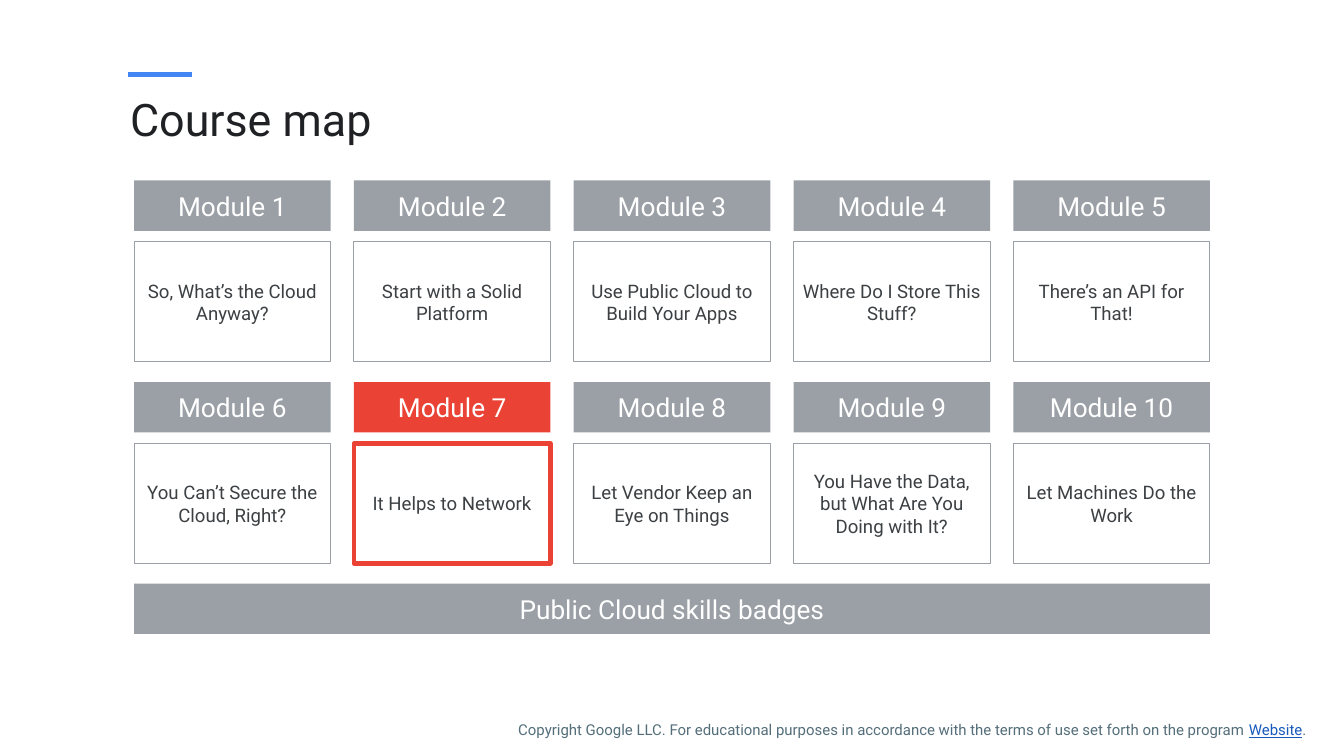
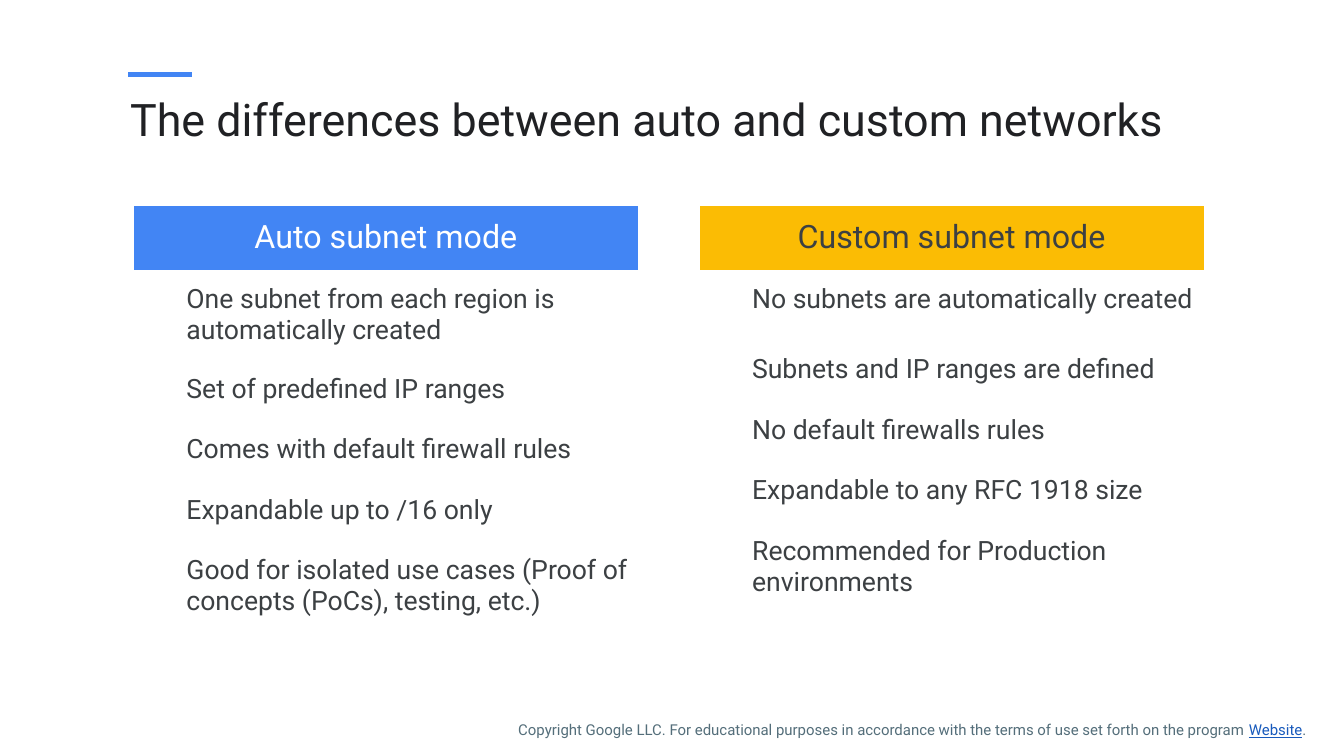
from lxml import etree
from pptx import Presentation
from pptx.dml.color import RGBColor
from pptx.enum.shapes import MSO_CONNECTOR, MSO_SHAPE
from pptx.enum.text import MSO_ANCHOR, MSO_AUTO_SIZE, PP_ALIGN
from pptx.oxml.ns import qn
from pptx.util import Inches, Pt

STRAIGHT = MSO_CONNECTOR.STRAIGHT
RECT = MSO_SHAPE.RECTANGLE
TOP, MIDDLE = MSO_ANCHOR.TOP, MSO_ANCHOR.MIDDLE
NO_AUTOFIT = MSO_AUTO_SIZE.NONE
LEFT, CENTER = PP_ALIGN.LEFT, PP_ALIGN.CENTER

WHITE = RGBColor(0xFF, 0xFF, 0xFF)
INK = RGBColor(0x20, 0x21, 0x24)
TEXT = RGBColor(0x3C, 0x40, 0x43)
GREY = RGBColor(0x9A, 0xA0, 0xA6)
SLATE = RGBColor(0x54, 0x6E, 0x7A)
BLUE = RGBColor(0x42, 0x85, 0xF4)
RED = RGBColor(0xEA, 0x43, 0x35)
YELLOW = RGBColor(0xFB, 0xBC, 0x04)
LINK = RGBColor(0x18, 0x5A, 0xBC)
FONT = "Roboto"
NO_STYLE_NO_GRID = "{2D5ABB26-0587-4C30-8999-92F81FD0307C}"


def write(tf, text, size, color, align, margins):
    tf.word_wrap = True
    tf.margin_left = tf.margin_right = Inches(margins)
    tf.margin_top = tf.margin_bottom = Inches(margins)
    p = tf.paragraphs[0]
    p.text = text
    p.alignment = align
    p.font.name = FONT
    p.font.size = Pt(size)
    p.font.color.rgb = color
    return p


def add_box(s, x, y, w, h, text, size, color, fill=None, line=None, weight=0.75):
    sp = s.shapes.add_shape(RECT, Inches(x), Inches(y), Inches(w), Inches(h))
    sp.shadow.inherit = False
    if fill is None:
        sp.fill.background()
    else:
        sp.fill.solid()
        sp.fill.fore_color.rgb = fill
    if line is None:
        sp.line.fill.background()
    else:
        sp.line.color.rgb = line
        sp.line.width = Pt(weight)
    sp.text_frame.vertical_anchor = MIDDLE
    write(sp.text_frame, text, size, color, CENTER, 0.07)


prs = Presentation()
prs.slide_width, prs.slide_height = Inches(13.33), Inches(7.5)

slides = []
for title in ["Course map", "The differences between auto and custom networks"]:
    s = prs.slides.add_slide(prs.slide_layouts[5])
    slides.append(s)

    accent = s.shapes.add_connector(STRAIGHT, Inches(1.27), Inches(0.74), Inches(1.9), Inches(0.74))
    accent.line.color.rgb = BLUE
    accent.line.width = Pt(3)
    etree.SubElement(accent._element.spPr, qn("a:effectLst"))

    sp = s.shapes.title
    sp.left, sp.top, sp.width, sp.height = Inches(1.22), Inches(0.84), Inches(10.77), Inches(0.83)
    tf = sp.text_frame
    tf.auto_size = NO_AUTOFIT
    tf.vertical_anchor = TOP
    write(tf, title, 32, INK, LEFT, 0.07)

    sp = s.shapes.add_textbox(Inches(5.01), Inches(7.02), Inches(8.25), Inches(0.38))
    p = write(
        sp.text_frame,
        "Copyright Google LLC. For educational purposes in accordance with "
        "the terms of use set forth on the program ",
        10.7, SLATE, LEFT, 0.13)
    p.line_spacing = 1.15
    r = p.add_run()
    r.text = "Website"
    r.font.color.rgb = LINK
    r.font.underline = True
    p.add_run().text = "."

course_map, comparison = slides

modules = [
    "So, What’s the Cloud Anyway?",
    "Start with a Solid Platform",
    "Use Public Cloud to Build Your Apps",
    "Where Do I Store This Stuff?",
    "There’s an API for That!",
    "You Can’t Secure the Cloud, Right?",
    "It Helps to Network",
    "Let Vendor Keep an Eye on Things",
    "You Have the Data, but What Are You Doing with It?",
    "Let Machines Do the Work",
]
current = 7
columns = 5
grid_left, grid_top, grid_width = 1.33, 1.79, 10.67
box_width, row_pitch = 1.95, 2.0
column_pitch = (grid_width - box_width) / (columns - 1)

for i, name in enumerate(modules):
    x = grid_left + i % columns * column_pitch
    y = grid_top + i // columns * row_pitch
    color, weight = (RED, 3) if i + 1 == current else (GREY, 0.75)
    add_box(course_map, x, y, box_width, 0.5, f"Module {i + 1}", 18.7, WHITE, fill=color)
    add_box(course_map, x, y + 0.61, box_width, 1.19, name, 13.3, TEXT, line=color, weight=weight)

add_box(course_map, grid_left, grid_top + 2 * row_pitch, grid_width, 0.5,
        "Public Cloud skills badges", 18.7, WHITE, fill=GREY)

modes = [
    (1.33, "Auto subnet mode", WHITE, BLUE, [
        ("One subnet from each region is automatically created", 0.89),
        ("Set of predefined IP ranges", 0.6),
        ("Comes with default firewall rules", 0.6),
        ("Expandable up to /16 only", 0.6),
        ("Good for isolated use cases (Proof of concepts (PoCs), testing, etc.)", 0.89),
    ]),
    (6.94, "Custom subnet mode", TEXT, YELLOW, [
        ("No subnets are automatically created", 0.7),
        ("Subnets and IP ranges are defined", 0.6),
        ("No default firewalls rules", 0.6),
        ("Expandable to any RFC 1918 size", 0.6),
        ("Recommended for Production environments", 0.89),
    ]),
]
header_height = 0.64

for x, heading, heading_color, fill, points in modes:
    height = header_height + sum(h for _, h in points)
    table = comparison.shapes.add_table(
        len(points) + 1, 2, Inches(x), Inches(2.04), Inches(5), Inches(height)).table
    table._tbl.tblPr.find(qn("a:tableStyleId")).text = NO_STYLE_NO_GRID
    table.first_row = table.horz_banding = False
    table.columns[0].width, table.columns[1].width = Inches(0.45), Inches(4.55)
    for cell in table.iter_cells():
        cell.fill.background()
        cell.margin_left = cell.margin_right = Inches(0.07)
        cell.margin_top = cell.margin_bottom = Inches(0.13)

    header = table.cell(0, 0)
    header.merge(table.cell(0, 1))
    header.fill.solid()
    header.fill.fore_color.rgb = fill
    rows = [(header, heading, header_height, 23, heading_color, CENTER)]
    rows += [(table.cell(i, 1), text, h, 19, TEXT, LEFT) for i, (text, h) in enumerate(points, 1)]
    for row, (cell, text, h, size, color, align) in zip(table.rows, rows):
        row.height = Inches(h)
        p = cell.text_frame.paragraphs[0]
        p.text = text
        p.alignment = align
        p.font.name = FONT
        p.font.size = Pt(size)
        p.font.color.rgb = color

prs.save("out.pptx")
